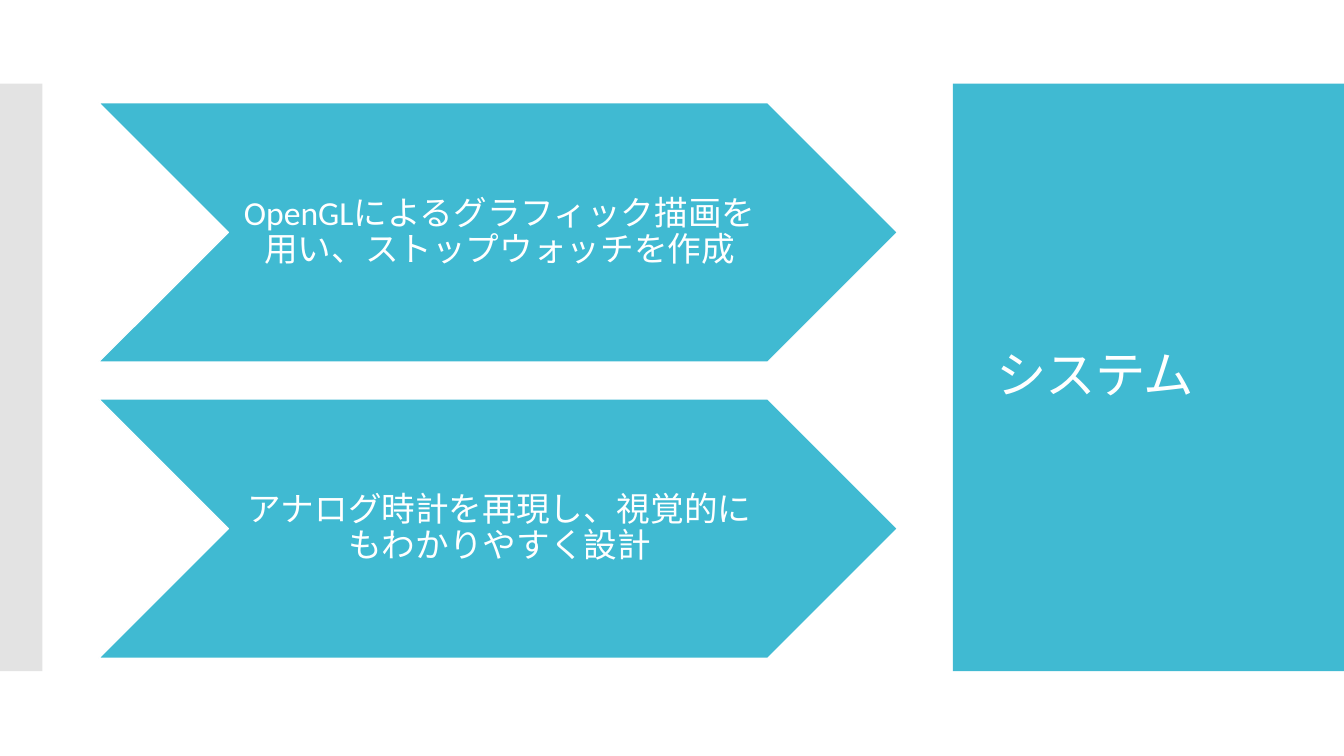
from dataclasses import dataclass

from lxml.etree import SubElement
from pptx import Presentation
from pptx.dml.color import RGBColor
from pptx.enum.shapes import MSO_SHAPE
from pptx.enum.text import MSO_ANCHOR, MSO_AUTO_SIZE, PP_ALIGN
from pptx.oxml.ns import qn
from pptx.util import Inches, Pt


@dataclass(frozen=True)
class Theme:
    accent: RGBColor = RGBColor(0x40, 0xBA, 0xD2)
    grey: RGBColor = RGBColor(0xC8, 0xC8, 0xC8)
    white: RGBColor = RGBColor(0xFF, 0xFF, 0xFF)
    font: str = "Calibri"
    title_size: Pt = Pt(36)
    body_size: Pt = Pt(24)


THEME = Theme()
SLIDE_WIDTH, SLIDE_HEIGHT = Inches(13.33), Inches(7.5)
BAND_TOP, BAND_HEIGHT = Inches(0.83), Inches(5.83)
POINTS = [
    "OpenGLによるグラフィック描画を用い、ストップウォッチを作成",
    "アナログ時計を再現し、視覚的にもわかりやすく設計",
]


def add_filled_shape(slide, kind, left, top, width, height, color):
    shape = slide.shapes.add_shape(kind, left, top, width, height)
    shape.shadow.inherit = False
    shape.fill.solid()
    shape.fill.fore_color.rgb = color
    shape.line.fill.background()
    return shape


def write_text(text_frame, text, size, alignment):
    text_frame.word_wrap = True
    text_frame.auto_size = MSO_AUTO_SIZE.NONE
    text_frame.vertical_anchor = MSO_ANCHOR.MIDDLE
    paragraph = text_frame.paragraphs[0]
    paragraph.alignment = alignment
    paragraph.line_spacing = 0.9
    run = paragraph.add_run()
    run.text = text
    run.font.name = THEME.font
    run.font.size = size
    run.font.color.rgb = THEME.white
    return run


def add_side_strip(slide, left, top, width, height):
    strip = add_filled_shape(slide, MSO_SHAPE.RECTANGLE, left, top, width, height, THEME.grey)
    # Half transparent fill
    color = strip.fill._xPr.find(qn("a:solidFill"))[0]
    SubElement(color, qn("a:alpha"), val="50000")


def add_title_panel(slide, left, top, width, height):
    add_filled_shape(slide, MSO_SHAPE.RECTANGLE, left, top, width, height, THEME.accent)
    title = slide.shapes.title
    title.left, title.top = left + Inches(0.33), top + Inches(0.4)
    title.width, title.height = width - Inches(0.66), height - Inches(0.8)
    run = write_text(title.text_frame, "システム", THEME.title_size, PP_ALIGN.LEFT)
    run._r.get_or_add_rPr().set("spc", "-60")
    # Bring the title in front of its panel
    slide.shapes._spTree.append(title._element)


def add_chevrons(slide, left, top, width, height, gap):
    chevron_height = (height - gap * (len(POINTS) - 1)) // len(POINTS)
    for index, point in enumerate(POINTS):
        chevron_top = top + index * (chevron_height + gap)
        chevron = add_filled_shape(slide, MSO_SHAPE.CHEVRON, left, chevron_top,
                                   width, chevron_height, THEME.accent)
        chevron.line.color.rgb = THEME.white
        chevron.line.width = Pt(0.85)
        frame = chevron.text_frame
        frame.margin_left, frame.margin_right = Inches(0.03), 0
        frame.margin_top = frame.margin_bottom = Inches(0.02)
        write_text(frame, point, THEME.body_size, PP_ALIGN.CENTER)


def build_system_slide(presentation):
    slide = presentation.slides.add_slide(presentation.slide_layouts[5])
    # Title panel on the right, strip on the left
    panel_left = Inches(9.45)
    add_title_panel(slide, panel_left, BAND_TOP, SLIDE_WIDTH - panel_left, BAND_HEIGHT)
    add_side_strip(slide, 0, BAND_TOP, Inches(0.42), BAND_HEIGHT)
    # Stacked chevrons
    add_chevrons(slide, Inches(0.98), Inches(1.02), Inches(7.92), Inches(5.51), Inches(0.37))


def main():
    presentation = Presentation()
    presentation.slide_width, presentation.slide_height = SLIDE_WIDTH, SLIDE_HEIGHT
    build_system_slide(presentation)
    presentation.save("out.pptx")


if __name__ == "__main__":
    main()
